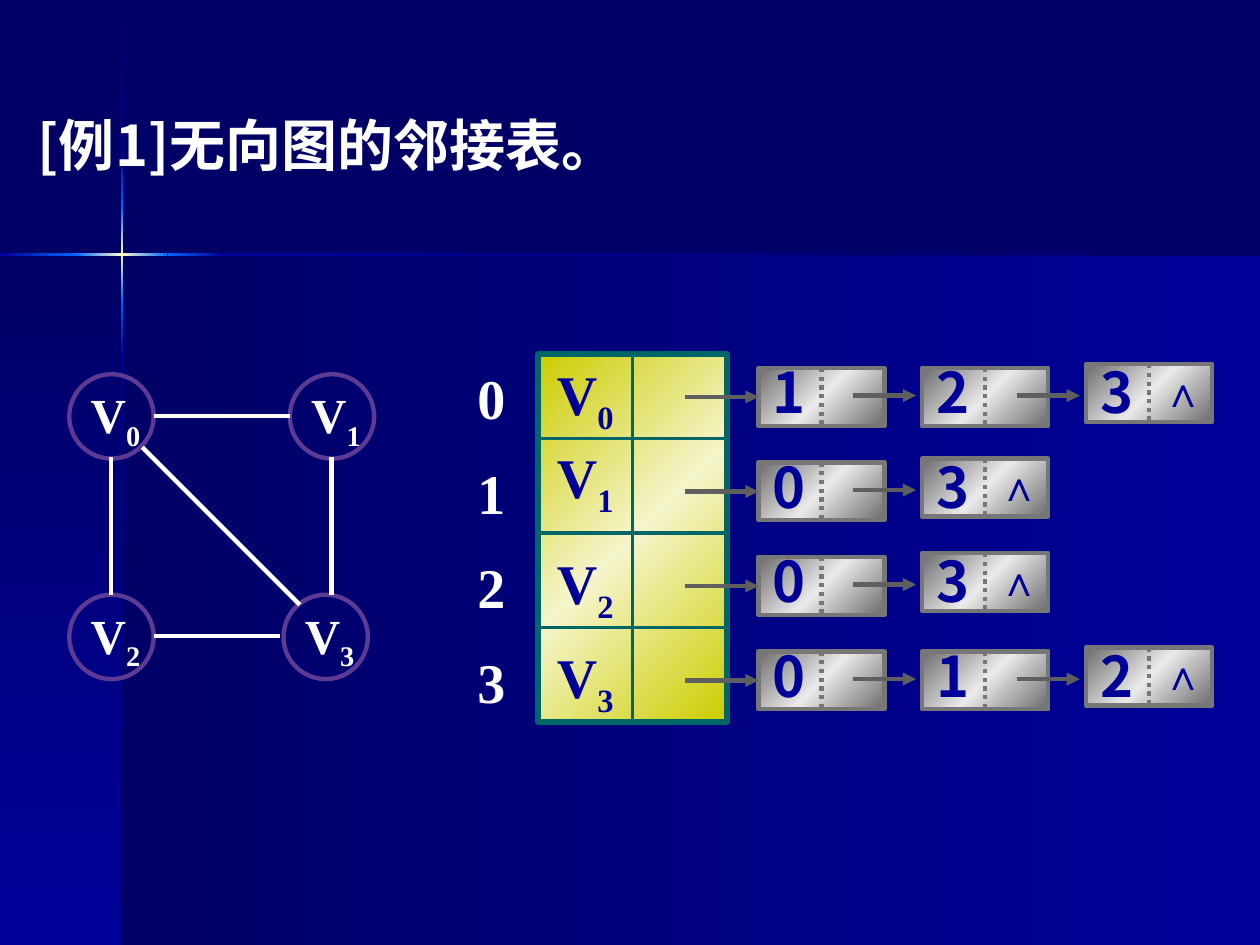
import copy
import lxml.etree
import pptx
import pptx.dml.color
import pptx.enum.dml
import pptx.enum.shapes
import pptx.enum.text
import pptx.oxml.ns
import pptx.util

WIDE, HIGH = 10, 7.5
ROW = 0.75
STEP = 1.3
TOP = 2.81
LEFT = 4.27
NODE = 6.02
SERIF, SANS = "Times New Roman", "Noto Sans CJK SC"
NAVY, BLUE, GLOW, CREAM = "000066", "000099", "0066FF", "FFFFCC"
WHITE, TEAL, GRAY, DARK, PLUM = "FFFFFF", "006666", "777777", "5F5F5F", "5D3B95"
GOLD = ["CCCC00", "F5F5CC", "CCCC00"]
STEEL = ["6C6C6C", "EAEAEA", "6C6C6C"]
KINDS = pptx.enum.shapes.MSO_SHAPE
ALIGN = pptx.enum.text.PP_ALIGN
ROUND = pptx.enum.dml.MSO_LINE.ROUND_DOT


def tint(code):
    return pptx.dml.color.RGBColor.from_string(code)


def span(*sizes):
    return [pptx.util.Inches(size) for size in sizes]


def stroke(line, code, width):
    line.color.rgb = tint(code)
    line.width = pptx.util.Pt(width)


def blend(shape, codes, angle):
    fill = shape.fill
    fill.gradient()
    fill.gradient_angle = (360 - angle) % 360
    stops = shape._element.spPr.find(".//" + pptx.oxml.ns.qn("a:gsLst"))
    if len(codes) == 3:
        stops.insert(1, copy.deepcopy(stops[0]))
    for rank, (stop, code) in enumerate(zip(fill.gradient_stops, codes)):
        stop.color.rgb = tint(code)
        stop.position = rank / (len(codes) - 1)


def shape(slide, kind, box, codes=None, angle=0, edge=None, width=2.5):
    item = slide.shapes.add_shape(kind, *span(*box))
    item.shadow.inherit = False
    if codes:
        blend(item, codes, angle)
    else:
        item.fill.background()
    if edge:
        stroke(item.line, edge, width)
    else:
        item.line.fill.background()
    return item


def link(slide, start, end, code, width=2.5, dash=None, arrow=False):
    kind = pptx.enum.shapes.MSO_CONNECTOR.STRAIGHT
    item = slide.shapes.add_connector(kind, *span(*start, *end))
    stroke(item.line, code, width)
    if dash:
        item.line.dash_style = dash
    name = pptx.oxml.ns.qn
    props = item._element.spPr
    if arrow:
        lxml.etree.SubElement(props.find(name("a:ln")), name("a:tailEnd"), type="triangle")
    lxml.etree.SubElement(props, name("a:effectLst"))
    return item


def style(run, size, code, face):
    font = run.font
    font.size, font.bold, font.name = pptx.util.Pt(size), True, face
    font.color.rgb = tint(code)
    props = run._r.get_or_add_rPr()
    lxml.etree.SubElement(props, pptx.oxml.ns.qn("a:ea"), typeface=face)


def label(slide, box, text, size, code, face=SERIF, align=ALIGN.CENTER, sub=""):
    frame = slide.shapes.add_textbox(*span(*box)).text_frame
    frame.word_wrap = True
    frame.margin_left = frame.margin_right = frame.margin_top = frame.margin_bottom = 0
    frame.vertical_anchor = pptx.enum.text.MSO_ANCHOR.MIDDLE
    line = frame.paragraphs[0]
    line.text = text
    line.alignment = align
    if sub:
        line.add_run().text = sub
    for run in line.runs:
        style(run, size, code, face)
    if sub:
        line.runs[1]._r.get_or_add_rPr().set("baseline", "-25000")


def backdrop(slide):
    fill = slide.background.fill
    fill.solid()
    fill.fore_color.rgb = tint(NAVY)
    rect = KINDS.RECTANGLE
    shape(slide, rect, (0.97, 2.02, WIDE - 0.97, HIGH - 2.02), [NAVY, BLUE])
    shape(slide, rect, (0, 2.02, 0.97, HIGH - 2.02), [NAVY, BLUE], 90)
    fades = [[NAVY, BLUE], [BLUE, GLOW], [GLOW, CREAM, GLOW], [GLOW, BLUE], [BLUE, NAVY]]
    tall = [0.01, 1.21, 1.65, 2.38, 2.82, HIGH]
    for low, high, codes in zip(tall, tall[1:], fades):
        shape(slide, rect, (0.96, low, 0.02, high - low), codes, 90)
    flat = [0, 0.6, 1.33, 1.77, WIDE]
    for low, high, codes in zip(flat, flat[1:], fades[1:]):
        shape(slide, rect, (low, 2.01, high - low, 0.02), codes)


def heading(slide):
    title = slide.shapes.title
    slide.shapes._spTree.append(title._element)
    title.left, title.top, title.width, title.height = span(0.2, 0.74, 9.6, 0.8)
    frame = title.text_frame
    frame.text = "[例1]无向图的邻接表。"
    frame.auto_size = pptx.enum.text.MSO_AUTO_SIZE.NONE
    frame.vertical_anchor = pptx.enum.text.MSO_ANCHOR.MIDDLE
    line = frame.paragraphs[0]
    line.alignment = ALIGN.LEFT
    style(line.runs[0], 32, WHITE, SANS)


def graph(slide):
    spots = [(0.55, 2.97), (2.3, 2.97), (0.55, 4.72), (2.25, 4.72)]
    for rank, (x, y) in enumerate(spots):
        label(slide, (x + 0.17, y + 0.05, 0.5, 0.6), "V", 28, WHITE,
              align=ALIGN.LEFT, sub=str(rank))
        shape(slide, KINDS.OVAL, (x, y, 0.67, 0.67), edge=PLUM)
    edges = [((1.22, 3.3), (2.3, 3.3)), ((2.63, 3.63), (2.63, 4.72)),
             ((1.22, 5.05), (2.22, 5.05)), ((0.88, 3.63), (0.88, 4.72)),
             ((1.13, 3.55), (2.38, 4.8))]
    for start, end in edges:
        link(slide, start, end, WHITE)


def heads(slide, count):
    shape(slide, KINDS.RECTANGLE, (LEFT, TOP, 1.5, 2.92), GOLD, 45, TEAL, 3)
    for rank in range(1, count):
        y = 2.73 + rank * ROW
        link(slide, (LEFT, y), (LEFT + 1.5, y), TEAL, 2.25)
    link(slide, (LEFT + 0.75, TOP), (LEFT + 0.75, TOP + 2.92), TEAL, 2.25)
    for rank in range(count):
        y = TOP + 0.03 + rank * ROW
        lift = 0.09 if rank == 1 else 0
        label(slide, (LEFT, y - lift, 0.75, 0.63), "V", 32, BLUE, sub=str(rank))
        label(slide, (3.61, y, 0.58, 0.63), str(rank), 32, WHITE)


def chain(slide, rank, items):
    y = TOP + rank * ROW
    for place, item in enumerate(items):
        x = NODE + place * STEP
        last = place == len(items) - 1
        top = y + (0.08 if last else 0.11)
        node = shape(slide, KINDS.RECTANGLE, (x, top, 1, 0.46), STEEL, 45, GRAY)
        link(slide, (x + 0.5, top), (x + 0.5, top + 0.46), GRAY, dash=ROUND)
        label(slide, (x - 0.16, y - 0.02, 0.81, 0.63), item, 32, BLUE, SANS)
        if place == 0:
            arrow = link(slide, (5.44, y + 0.34), (x, y + 0.34), DARK, arrow=True)
            arrow.end_connect(node, 1)
        if last:
            label(slide, (x + 0.5, y + 0.04, 0.54, 0.5), "∧", 24, BLUE)
        else:
            link(slide, (x + 0.75, y + 0.33), (x + 1.25, y + 0.33), DARK, arrow=True)


def main():
    deck = pptx.Presentation()
    deck.slide_width, deck.slide_height = span(WIDE, HIGH)
    slide = deck.slides.add_slide(deck.slide_layouts[5])
    backdrop(slide)
    heading(slide)
    graph(slide)
    chains = ["123", "03", "03", "012"]
    heads(slide, len(chains))
    for rank, items in enumerate(chains):
        chain(slide, rank, items)
    deck.save("out.pptx")


if __name__ == "__main__":
    main()
